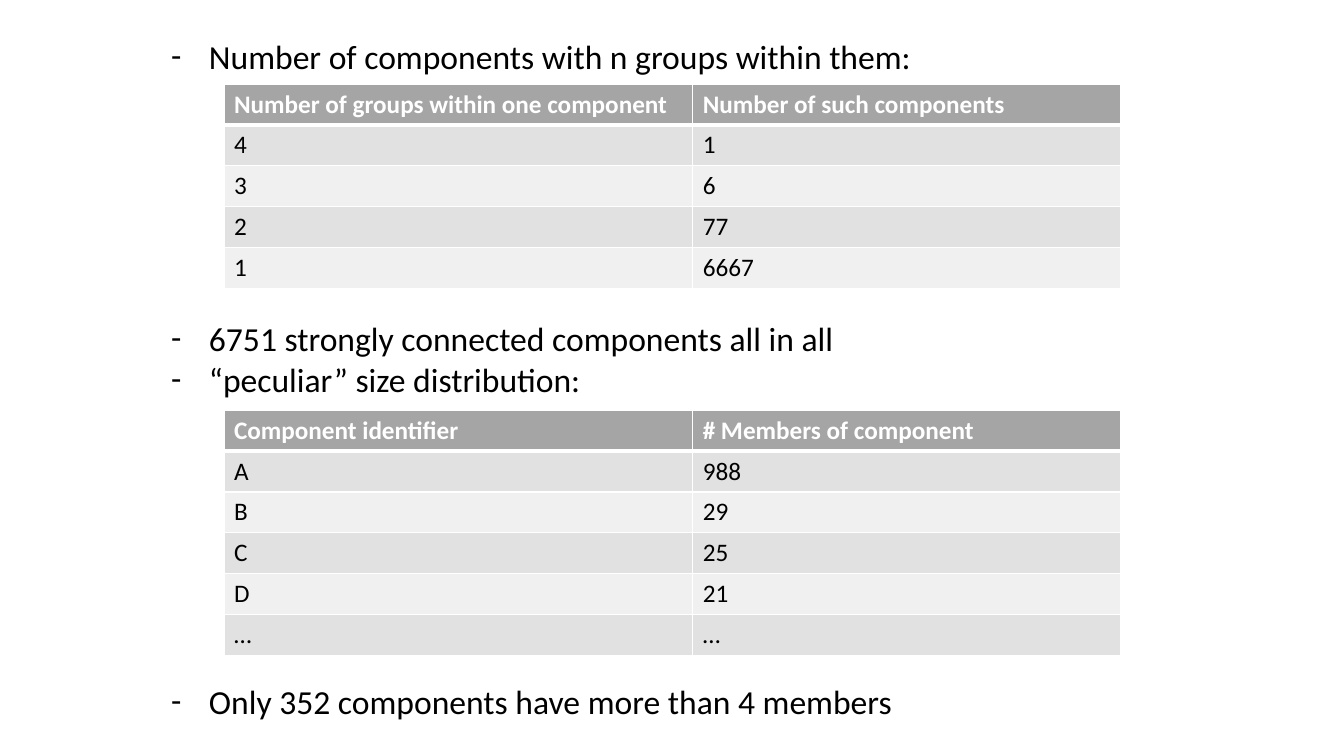
from lxml.etree import SubElement
from pptx import Presentation
from pptx.dml.color import RGBColor
from pptx.enum.text import MSO_ANCHOR
from pptx.oxml.ns import qn
from pptx.util import Pt

FONT = "Calibri"
BLACK, WHITE = "000000", "FFFFFF"
HEADER, DARK_BAND, LIGHT_BAND = "A5A5A5", "E1E1E1", "F0F0F0"
TABLE_LEFT, ROW_HEIGHT = 160, 29.2
COLUMN_WIDTHS = (334.8, 305.3)

# Text of each bullet and the space kept free above it
BULLETS = [
    ("Number of components with n groups within them:", 0),
    ("6751 strongly connected components all in all", 173),
    ("“peculiar” size distribution:", 0),
    ("Only 352 components have more than 4 members", 201),
]
GROUP_COUNTS = [
    ("Number of groups within one component", "Number of such components"),
    ("4", "1"), ("3", "6"), ("2", "77"), ("1", "6667"),
]
COMPONENT_SIZES = [
    ("Component identifier", "# Members of component"),
    ("A", "988"), ("B", "29"), ("C", "25"), ("D", "21"), ("…", "…"),
]


def color(value):
    return RGBColor.from_string(value)


def add_span(para, text, size, ink, bold=False):
    span = para.add_run()
    span.text = text
    span.font.name = FONT
    span.font.size = Pt(size)
    span.font.bold = bold
    span.font.color.rgb = color(ink)


def set_dash_bullet(para, indent):
    props = para._p.get_or_add_pPr()
    props.set("marL", str(Pt(indent)))
    props.set("indent", str(-Pt(indent)))
    SubElement(props, qn("a:buFont"), typeface=FONT)
    SubElement(props, qn("a:buChar"), char="-")


def add_bullets(page, bullets, left, top, width, height):
    box = page.shapes.add_textbox(Pt(left), Pt(top), Pt(width), Pt(height))
    frame = box.text_frame
    frame.word_wrap = True
    frame.margin_top = Pt(25.6)
    for index, (text, gap) in enumerate(bullets):
        para = frame.add_paragraph() if index else frame.paragraphs[0]
        para.space_before = Pt(gap)
        set_dash_bullet(para, 27)
        add_span(para, text, 24, BLACK)


def set_borders(cell, widths):
    props = cell._tc.get_or_add_tcPr()
    # Borders come before the fill in the cell properties
    for index, (side, width) in enumerate(widths.items()):
        line = SubElement(props, qn(f"a:{side}"), w=str(Pt(width)))
        fill = SubElement(line, qn("a:solidFill"))
        SubElement(fill, qn("a:srgbClr"), val=WHITE)
        props.insert(index, line)


def add_banded_table(page, rows, top):
    frame = page.shapes.add_table(
        len(rows), len(COLUMN_WIDTHS), Pt(TABLE_LEFT), Pt(top),
        Pt(sum(COLUMN_WIDTHS)), Pt(ROW_HEIGHT * len(rows)))
    table = frame.table
    for column, width in zip(table.columns, COLUMN_WIDTHS):
        column.width = Pt(width)
    for r, texts in enumerate(rows):
        table.rows[r].height = Pt(ROW_HEIGHT)
        is_header = r == 0
        band = HEADER if is_header else DARK_BAND if r % 2 else LIGHT_BAND
        for c, text in enumerate(texts):
            cell = table.cell(r, c)
            cell.vertical_anchor = MSO_ANCHOR.TOP
            cell.fill.solid()
            cell.fill.fore_color.rgb = color(band)
            set_borders(cell, {"lnL": 1, "lnR": 1,
                               "lnT": 3 if r == 1 else 1,
                               "lnB": 3 if is_header else 1})
            add_span(cell.text_frame.paragraphs[0], text, 18,
                     WHITE if is_header else BLACK, is_header)


def main():
    deck = Presentation()
    deck.slide_width, deck.slide_height = Pt(960), Pt(540)
    page = deck.slides.add_slide(deck.slide_layouts[6])

    # Statements, with room left for the tables
    add_bullets(page, BULLETS, 115.2, 0, 736.6, 581.8)

    # Tables below the statements they belong to
    add_banded_table(page, GROUP_COUNTS, 60)
    add_banded_table(page, COMPONENT_SIZES, 293)

    deck.save("out.pptx")


main()
